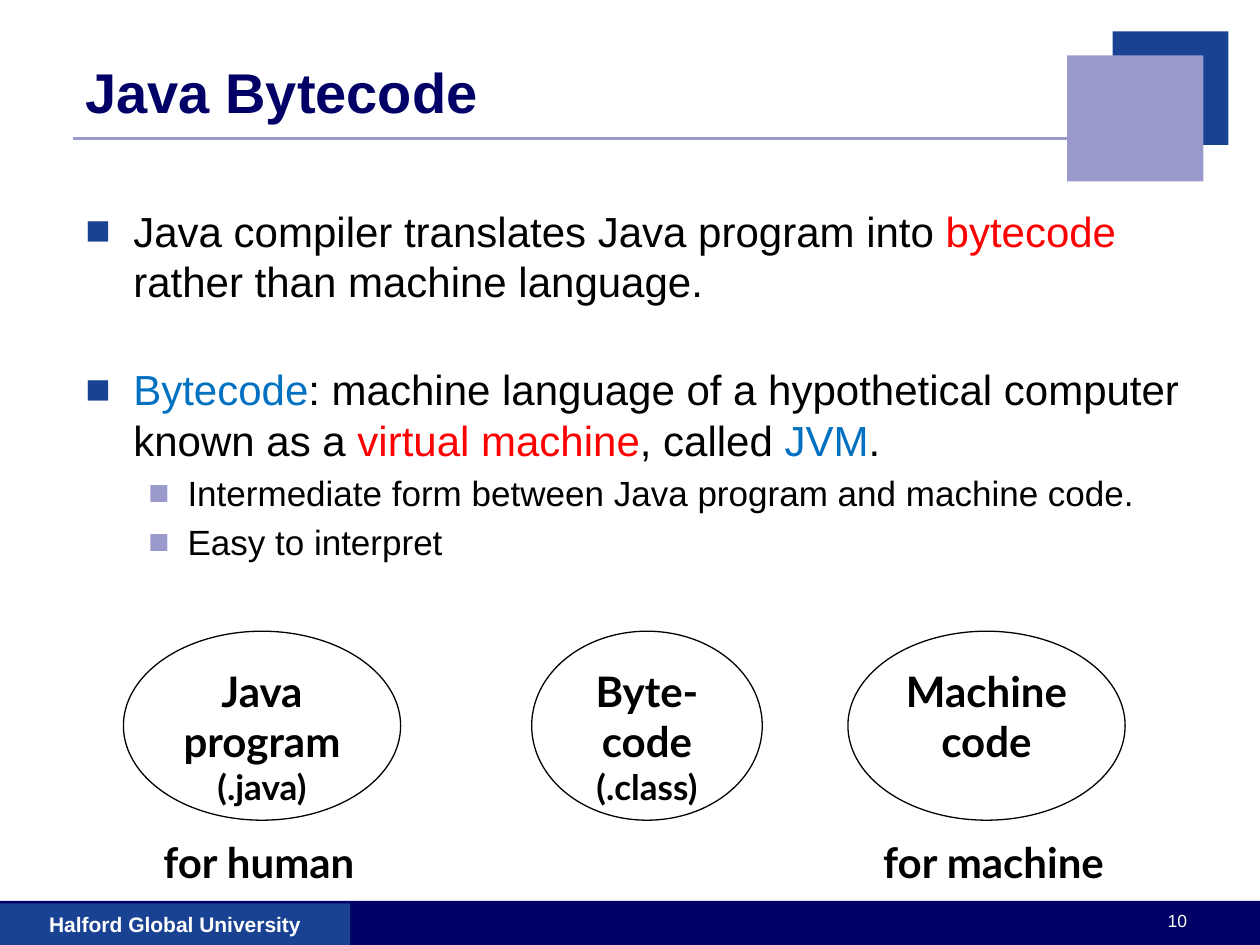
from lxml import etree
from pptx import Presentation
from pptx.dml.color import RGBColor
from pptx.enum.shapes import MSO_CONNECTOR, MSO_SHAPE
from pptx.enum.text import MSO_ANCHOR, PP_ALIGN
from pptx.oxml.ns import qn
from pptx.util import Inches, Pt

C = {"navy": "000066", "blue": "194293", "lilac": "9999CC", "white": "FFFFFF",
     "black": "000000", "red": "FF0000", "sky": "0070C0"}

prs = Presentation()
prs.slide_width, prs.slide_height = Inches(10), Inches(7.5)
s = prs.slides.add_slide(prs.slide_layouts[6])


def add_box(kind, box, fill=None, line=None):
    """Add a preset shape, or a text box when kind is None."""
    box = [Inches(v) for v in box]
    if kind is None:
        sp = s.shapes.add_textbox(*box)
    else:
        sp = s.shapes.add_shape(kind, *box)
        sp.shadow.inherit = False
        if fill:
            sp.fill.solid()
            sp.fill.fore_color.rgb = RGBColor.from_string(C[fill])
        else:
            sp.fill.background()
        if line:
            sp.line.color.rgb = RGBColor.from_string(C[line])
            sp.line.width = Pt(0.75)
        else:
            sp.line.fill.background()
    sp.text_frame.word_wrap = True
    sp.text_frame.vertical_anchor = MSO_ANCHOR.TOP
    return sp


def add_para(tf, runs, size, font="Arial", bold=False, align=PP_ALIGN.LEFT):
    """Fill the first paragraph, or append one, with (text, colour) runs."""
    p = tf.add_paragraph() if tf.text else tf.paragraphs[0]
    p.alignment = align
    for text, color in runs:
        r = p.add_run()
        r.text = text
        r.font.color.rgb = RGBColor.from_string(C[color])
    for part in (p, *p.runs):
        part.font.size, part.font.name, part.font.bold = Pt(size), font, bold
    return p


# Footer bar, title rule and corner squares
add_box(MSO_SHAPE.RECTANGLE, (0, 7.15, 10, 0.35), "navy")
rule = s.shapes.add_connector(MSO_CONNECTOR.STRAIGHT, Inches(0.58), Inches(1.1),
                              Inches(8.5), Inches(1.1))
rule.line.color.rgb = RGBColor.from_string(C["lilac"])
rule.line.width = Pt(2)
etree.SubElement(rule._element.spPr, qn("a:effectLst"))
add_box(MSO_SHAPE.RECTANGLE, (8.83, 0.25, 0.92, 0.9), "blue")
add_box(MSO_SHAPE.RECTANGLE, (8.47, 0.44, 1.08, 1), "lilac")

# Footer texts
tf = add_box(MSO_SHAPE.RECTANGLE, (0, 7.17, 2.78, 0.33), "blue").text_frame
tf.vertical_anchor = MSO_ANCHOR.MIDDLE
add_para(tf, [("Halford Global University", "white")], 12, bold=True, align=PP_ALIGN.CENTER)
tf = add_box(MSO_SHAPE.RECTANGLE, (7.44, 7.17, 2.08, 0.33), "navy").text_frame
add_para(tf, [("10", "white")], 10, align=PP_ALIGN.RIGHT)

# Title
tf = add_box(None, (0.58, 0.31, 7.67, 0.83)).text_frame
tf.vertical_anchor = MSO_ANCHOR.MIDDLE
add_para(tf, [("Java Bytecode", "navy")], 32, bold=True)

# Bulleted body: level, space before, runs
bullets = [
    (0, 0, [("Java compiler translates Java program into ", "black"), ("bytecode", "red"),
            (" rather than machine language.", "black")]),
    (0, 33, [("Bytecode", "sky"),
             (": machine language of a hypothetical computer known as a ", "black"),
             ("virtual machine", "red"), (", called ", "black"), ("JVM", "sky"),
             (".", "black")]),
    (1, 4, [("Intermediate form between Java program and machine code.", "black")]),
    (1, 4, [("Easy to interpret", "black")]),
]
levels = [(24, 0.38, -0.38, "blue"), (20, 0.81, -0.31, "lilac")]
tf = add_box(None, (0.58, 1.58, 8.92, 5.17)).text_frame
for level, before, runs in bullets:
    size, margin, indent, color = levels[level]
    p = add_para(tf, runs, size)
    p.level = level
    p.space_before = Pt(before)
    pPr = p._p.get_or_add_pPr()
    pPr.set("marL", str(Inches(margin)))
    pPr.set("indent", str(Inches(indent)))
    buClr = etree.Element(qn("a:buClr"))
    etree.SubElement(buClr, qn("a:srgbClr"), val=C[color])
    buFont = etree.Element(qn("a:buFont"), typeface="Arial")
    buChar = etree.Element(qn("a:buChar"), char="■")
    defRPr = pPr.find(qn("a:defRPr"))
    for el in (buClr, buFont, buChar):
        defRPr.addprevious(el)

# Program forms: left, width, name, file extension
for left, width, name, ext in [(0.98, 2.2, "Java program", "(.java)"),
                               (6.73, 2.2, "Machine code", None),
                               (4.22, 1.83, "Byte-code", "(.class)")]:
    tf = add_box(MSO_SHAPE.OVAL, (left, 5.01, width, 1.5), line="black").text_frame
    add_para(tf, [(name, "black")], 24, "Lato", True, PP_ALIGN.CENTER)
    if ext:
        add_para(tf, [(ext, "black")], 20, "Lato", True, PP_ALIGN.CENTER)

# Captions under the ellipses
for left, width, text in [(1.14, 1.83, "for human"), (6.84, 2.09, "for machine")]:
    tf = add_box(None, (left, 6.59, width, 0.51)).text_frame
    add_para(tf, [(text, "black")], 24, "Lato", True, PP_ALIGN.CENTER)

prs.save("out.pptx")
